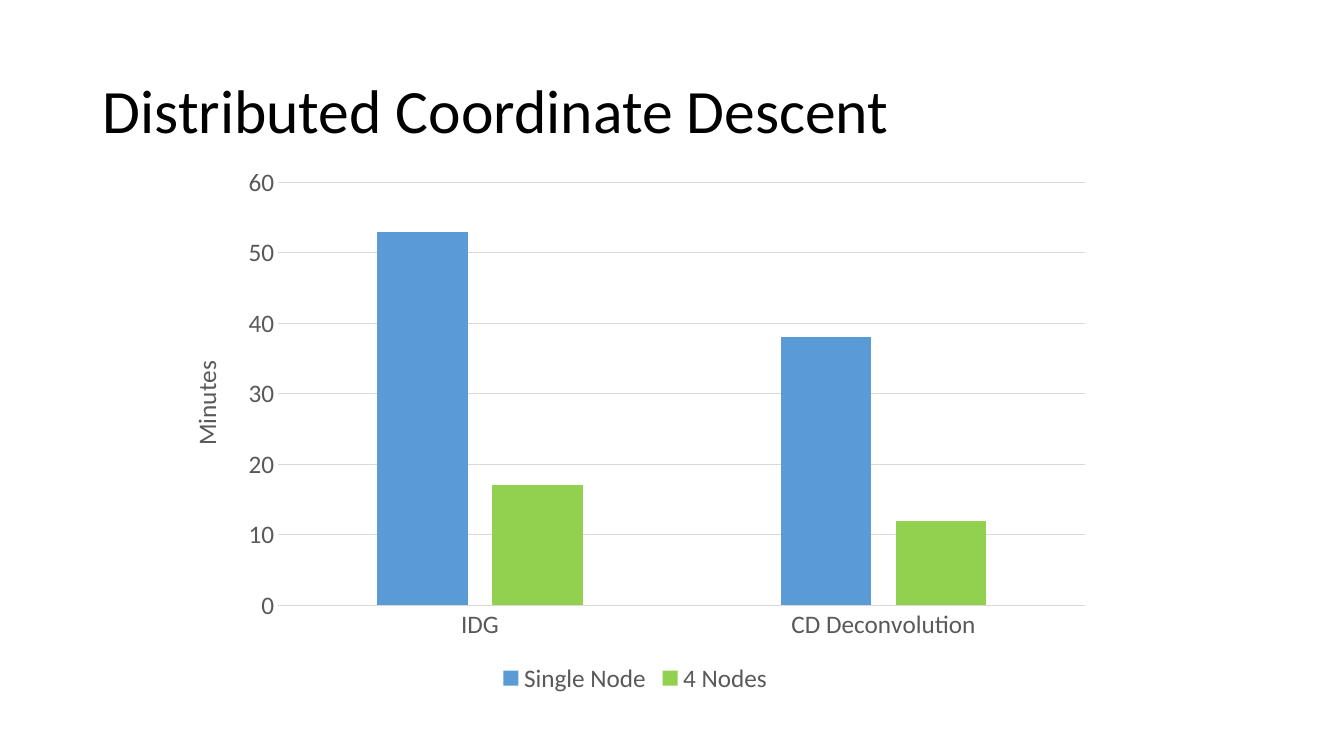
from pptx import Presentation
from pptx.chart.data import CategoryChartData
from pptx.dml.color import RGBColor
from pptx.enum.chart import XL_CHART_TYPE, XL_LEGEND_POSITION, XL_TICK_MARK
from pptx.enum.text import MSO_ANCHOR
from pptx.util import Inches, Pt

FONT = "Calibri"
BLACK = RGBColor(0x00, 0x00, 0x00)
GRAY = RGBColor(0x59, 0x59, 0x59)
GRID = RGBColor(0xD9, 0xD9, 0xD9)
BLUE = RGBColor(0x5B, 0x9B, 0xD5)
GREEN = RGBColor(0x92, 0xD0, 0x50)

CATEGORIES = ["IDG", "CD Deconvolution"]
RUNTIMES = [
    ("Single Node", [53, 38], BLUE),
    ("4 Nodes", [17, 12], GREEN),
]


def style_font(font, size, color):
    font.name = FONT
    font.size = Pt(size)
    font.bold = False
    font.color.rgb = color


def style_line(line):
    line.color.rgb = GRID
    line.width = Pt(0.75)


def add_title(page, text):
    box = page.shapes.add_textbox(Inches(0.92), Inches(0.4), Inches(11.5), Inches(1.45))
    frame = box.text_frame
    frame.word_wrap = True
    frame.vertical_anchor = MSO_ANCHOR.MIDDLE
    para = frame.paragraphs[0]
    para.line_spacing = 0.9
    span = para.add_run()
    span.text = text
    style_font(span.font, 44, BLACK)


def style_axes(chart):
    for axis in (chart.category_axis, chart.value_axis):
        axis.major_tick_mark = XL_TICK_MARK.NONE
        axis.minor_tick_mark = XL_TICK_MARK.NONE
        style_font(axis.tick_labels.font, 18, GRAY)
    style_line(chart.category_axis.format.line)

    # Value axis: gridlines only, with a title
    minutes = chart.value_axis
    minutes.minimum_scale, minutes.maximum_scale, minutes.major_unit = 0, 60, 10
    minutes.format.line.fill.background()
    style_line(minutes.major_gridlines.format.line)
    span = minutes.axis_title.text_frame.paragraphs[0].add_run()
    span.text = "Minutes"
    style_font(span.font, 18, GRAY)


def add_runtime_chart(page):
    data = CategoryChartData()
    data.categories = CATEGORIES
    for name, values, _ in RUNTIMES:
        data.add_series(name, values)
    chart = page.shapes.add_chart(
        XL_CHART_TYPE.COLUMN_CLUSTERED,
        Inches(1.65), Inches(1.55), Inches(9.3), Inches(5.38), data,
    ).chart
    chart.has_title = False
    style_font(chart.font, 18, BLACK)

    # Columns
    plot = chart.plots[0]
    plot.gap_width = 219
    plot.overlap = -27
    plot.vary_by_categories = False
    for series, (_, _, color) in zip(plot.series, RUNTIMES):
        series.format.fill.solid()
        series.format.fill.fore_color.rgb = color

    style_axes(chart)

    # Legend
    chart.has_legend = True
    chart.legend.position = XL_LEGEND_POSITION.BOTTOM
    chart.legend.include_in_layout = False
    style_font(chart.legend.font, 18, GRAY)


def main():
    deck = Presentation()
    deck.slide_width = Inches(13.33)
    deck.slide_height = Inches(7.5)
    page = deck.slides.add_slide(deck.slide_layouts[6])
    add_title(page, "Distributed Coordinate Descent")
    add_runtime_chart(page)
    deck.save("out.pptx")


if __name__ == "__main__":
    main()
